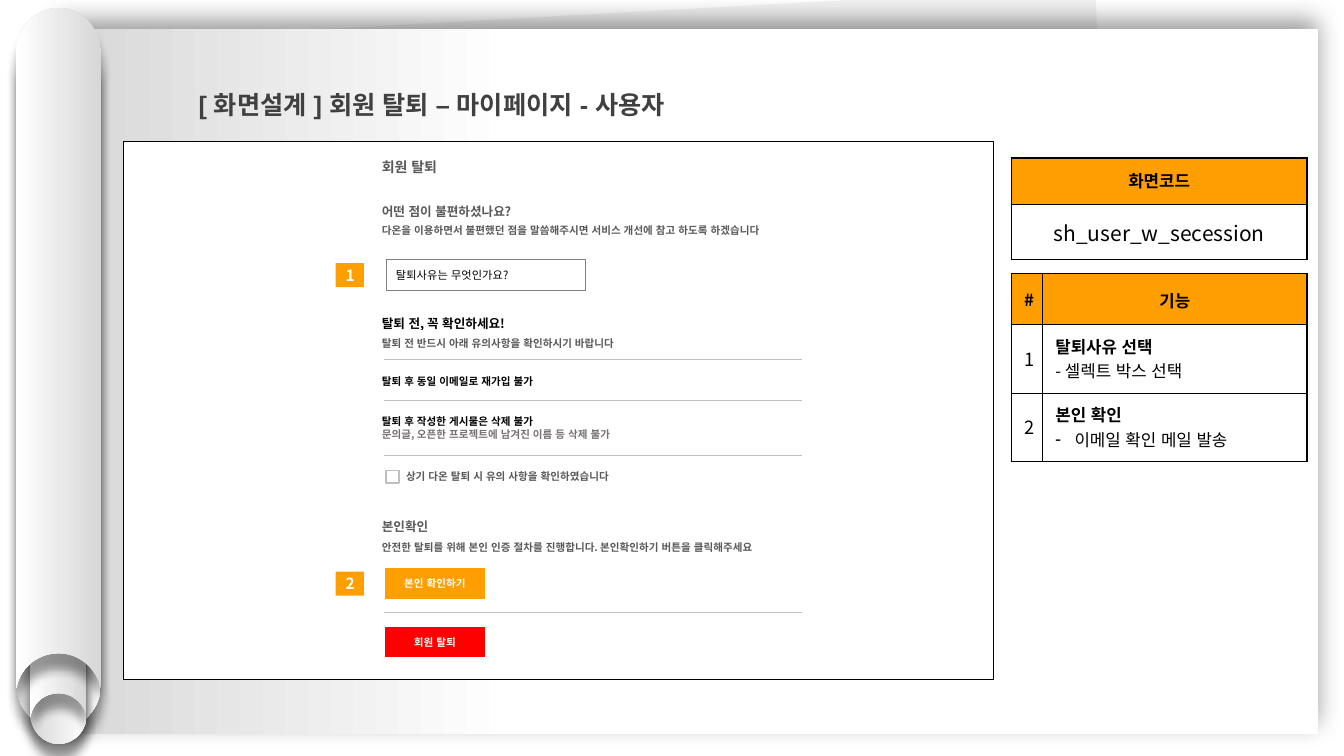
from dataclasses import dataclass
from typing import Optional

import lxml.etree
import pptx
import pptx.dml.color
import pptx.enum.lang
import pptx.enum.shapes
import pptx.enum.text
import pptx.oxml.ns
import pptx.shapes.autoshape
import pptx.shapes.shapetree
import pptx.slide
import pptx.text.text
import pptx.util

Inches = pptx.util.Inches
Pt = pptx.util.Pt
RGBColor = pptx.dml.color.RGBColor
Align = pptx.enum.text.PP_ALIGN
Anchor = pptx.enum.text.MSO_ANCHOR
RECT = pptx.enum.shapes.MSO_SHAPE.RECTANGLE
qn = pptx.oxml.ns.qn

KOREAN = "Noto Sans CJK KR"
BLACK = RGBColor(0x00, 0x00, 0x00)
WHITE = RGBColor(0xFF, 0xFF, 0xFF)
ORANGE = RGBColor(0xFF, 0x9E, 0x00)
RED = RGBColor(0xFF, 0x00, 0x00)
DARK = RGBColor(0x40, 0x40, 0x40)
TEXT = RGBColor(0x59, 0x59, 0x59)
MUTED = RGBColor(0x76, 0x71, 0x71)
BORDER = RGBColor(0x80, 0x80, 0x80)
RULE = RGBColor(0xBF, 0xBF, 0xBF)
PAPER = RGBColor(0xF2, 0xF2, 0xF2)
SHADE = RGBColor(0xD7, 0xD7, 0xD7)


@dataclass
class Line:
    text: str
    size: float
    color: RGBColor = TEXT
    bold: bool = True
    dash: bool = False


@dataclass
class Box:
    left: float
    top: float
    width: float
    height: float
    lines: tuple[Line, ...] = ()
    fill: RGBColor = WHITE
    border: Optional[RGBColor] = WHITE
    border_pt: float = 1
    align: Align = Align.LEFT


@dataclass
class Grid:
    top: float
    cols: tuple[float, ...]
    heights: tuple[float, ...]
    cells: tuple[tuple[tuple[Line, ...], ...], ...]
    edges: tuple[float, ...]
    spacing: Optional[float] = None


@dataclass
class Roll:
    left: float
    top: float
    scale: float
    rotation: int


def head(text: str) -> tuple[Line, ...]:
    return (Line(text, 12, BLACK),)


def tag(top: float, text: str) -> Box:
    return Box(3.33, top, 0.28, 0.24, (Line(text, 11, WHITE),), ORANGE, None, align=Align.CENTER)


def button(top: float, text: str, fill: RGBColor) -> Box:
    return Box(3.81, top, 1.01, 0.32, (Line(text, 7.5, WHITE),), fill, align=Align.CENTER)


def note(top: float, height: float, *lines: Line, left: float = 3.69, width: float = 4.43) -> Box:
    return Box(left, top, width, height, lines)


BOXES = (
    Box(1.23, 1.4, 8.63, 5.34, border=BLACK, border_pt=0.75),
    Box(3.69, 1.58, 1.01, 0.15, (Line("회원 탈퇴", 10),)),
    Box(3.69, 2.02, 2, 0.15, (Line("어떤 점이 불편하셨나요?", 9),)),
    note(2.16, 0.26, Line("다온을 이용하면서 불편했던 점을 말씀해주시면 서비스 개선에 참고 하도록 하겠습니다", 7.5)),
    Box(3.83, 2.57, 1.98, 0.31, (Line("탈퇴사유는 무엇인가요?", 8, BLACK, False),), border=BORDER, border_pt=0.5),
    Box(3.69, 3.13, 2, 0.15, (Line("탈퇴 전, 꼭 확인하세요!", 9, BLACK),)),
    note(3.28, 0.26, Line("탈퇴 전 반드시 아래 유의사항을 확인하시기 바랍니다", 7.5)),
    note(3.65, 0.26, Line("탈퇴 후 동일 이메일로 재가입 불가", 7.5, BLACK)),
    note(4.06, 0.37, Line("탈퇴 후 작성한 게시물은 삭제 불가", 7.5, BLACK),
         Line("문의글, 오픈한 프로젝트에 남겨진 이름 등 삭제 불가", 7.5, MUTED)),
    note(4.6, 0.26, Line("상기 다온 탈퇴 시 유의 사항을 확인하였습니다", 7.5), left=3.93),
    Box(3.83, 4.67, 0.13, 0.12, border=RULE),
    Box(3.69, 5.15, 2, 0.15, (Line("본인확인", 9),)),
    note(5.32, 0.21, Line("안전한 탈퇴를 위해 본인 인증 절차를 진행합니다. 본인확인하기 버튼을 클릭해주세요", 7.5),
         width=4.09),
    button(5.63, "본인 확인하기", ORANGE),
    button(6.21, "회원 탈퇴", RED),
    tag(2.61, "1"),
    tag(5.67, "2"),
)
RULES = (3.57, 3.97, 4.52, 6.08)
SMALL = 2 / 3
ROLLS = (Roll(0.16, 0.48, 1, 180), Roll(0.3, 2.88, SMALL, 180), Roll(0.3, 2.61, SMALL, 0), Roll(0.16, 0.08, 1, 0))
ROLL_OUTLINE = (
    ("M", ((0.42, 0),)), ("C", ((0.65, 0), (0.84, 0.2), (0.84, 0.44))), ("L", ((0.84, 6.75),)),
    ("L", ((0.82, 6.68),)), ("C", ((0.75, 6.51), (0.6, 6.4), (0.42, 6.4))),
    ("C", ((0.24, 6.4), (0.08, 6.51), (0.02, 6.68))), ("L", ((0, 6.75),)), ("L", ((0, 0.44),)),
    ("C", ((0, 0.2), (0.18, 0), (0.42, 0))),
)
GRIDS = (
    Grid(1.57, (2.94,), (0.46, 0.54),
         ((head("화면코드"),), ((Line("sh_user_w_secession", 15, BLACK, False),),)), (1.5, 0.75, 0.75)),
    Grid(2.71, (0.31, 2.63), (0.51, 0.68, 0.68),
         ((head("#"), head("기능")),
          ((Line("1", 13, BLACK, False),),
           (Line("탈퇴사유 선택", 12, BLACK), Line("- 셀렉트 박스 선택", 12, BLACK, False))),
          ((Line("2", 13, BLACK, False),),
           (Line("본인 확인", 12, BLACK), Line("이메일 확인 메일 발송", 12, BLACK, False, True)))),
         (0.75, 1.5, 0.75, 0.75), 18),
)


def write(tf: pptx.text.text.TextFrame, lines: tuple[Line, ...], align: Align,
          spacing: Optional[float] = None, font: str = KOREAN) -> None:
    tf.word_wrap = True
    for i, line in enumerate(lines):
        p = tf.add_paragraph() if i else tf.paragraphs[0]
        p.alignment = align
        if spacing:
            p.line_spacing = spacing
        if line.dash:
            pPr = p._p.get_or_add_pPr()
            pPr.set("marL", str(Inches(0.19)))
            pPr.set("indent", str(Inches(-0.19)))
            lxml.etree.SubElement(pPr, qn("a:buFontTx"))
            lxml.etree.SubElement(pPr, qn("a:buChar")).set("char", "-")
        r = p.add_run()
        r.text = line.text
        r.font.size = Pt(line.size)
        r.font.bold = line.bold
        r.font.color.rgb = line.color
        r.font.name = font
        r.font.language_id = pptx.enum.lang.MSO_LANGUAGE_ID.KOREAN
        lxml.etree.SubElement(r._r.get_or_add_rPr(), qn("a:ea")).set("typeface", "Arial")


def add_box(s: pptx.slide.Slide, box: Box) -> pptx.shapes.autoshape.Shape:
    sp = s.shapes.add_shape(RECT, *map(Inches, (box.left, box.top, box.width, box.height)))
    sp.shadow.inherit = False
    sp.fill.solid()
    sp.fill.fore_color.rgb = box.fill
    if box.border is None:
        sp.line.fill.background()
    else:
        sp.line.color.rgb = box.border
        sp.line.width = Pt(box.border_pt)
    sp.text_frame.vertical_anchor = Anchor.MIDDLE
    write(sp.text_frame, box.lines, box.align)
    return sp


def shade(sp: pptx.shapes.autoshape.Shape, stops: tuple[tuple[float, RGBColor], ...],
          blur: float, distance: float, angle: int) -> None:
    sp.line.fill.background()
    sp.fill.gradient()
    sp.fill.gradient_angle = 180
    for stop, (position, color) in zip(sp.fill.gradient_stops, stops):
        stop.position = position
        stop.color.rgb = color
    sp.shadow.inherit = False
    effects = sp.element.spPr.find(qn("a:effectLst"))
    shadow = lxml.etree.SubElement(effects, qn("a:outerShdw"), blurRad=str(Pt(blur)), dist=str(Pt(distance)),
                                   dir=str(angle * 60000), algn="ctr", rotWithShape="0")
    color = lxml.etree.SubElement(shadow, qn("a:srgbClr"), val=str(BLACK))
    lxml.etree.SubElement(color, qn("a:alpha"), val="40000")


def add_roll(shapes: pptx.shapes.shapetree.GroupShapes, roll: Roll) -> None:
    points = [(Inches(roll.left + x * roll.scale), Inches(roll.top + y * roll.scale))
              for _, step in ROLL_OUTLINE for x, y in step]
    builder = shapes.build_freeform(*points[0])
    builder.add_line_segments(points[1:], close=True)
    sp = builder.convert_to_shape()
    segments = iter(list(sp.element.iter(qn("a:lnTo"))))
    for kind, _ in ROLL_OUTLINE[1:]:
        first = next(segments)
        if kind == "C":
            first.tag = qn("a:cubicBezTo")
            for extra in (next(segments), next(segments)):
                first.append(extra[0])
                extra.getparent().remove(extra)
    sp.rotation = roll.rotation
    shade(sp, ((0, SHADE), (1, WHITE)), 7, 11, 90)


def add_grid(s: pptx.slide.Slide, grid: Grid) -> None:
    rows, cols = len(grid.heights), len(grid.cols)
    table = s.shapes.add_table(rows, cols, Inches(10.03), Inches(grid.top), Inches(sum(grid.cols)),
                               Inches(sum(grid.heights))).table
    table.first_row = table.horz_banding = False
    for column, width in zip(table.columns, grid.cols):
        column.width = Inches(width)
    for i, height in enumerate(grid.heights):
        table.rows[i].height = Inches(height)
        for j, lines in enumerate(grid.cells[i]):
            cell = table.cell(i, j)
            cell.margin_left = cell.margin_right = Inches(0.13)
            cell.margin_top = cell.margin_bottom = Inches(0.07)
            listing = len(lines) > 1
            cell.vertical_anchor = Anchor.TOP if listing else Anchor.MIDDLE
            write(cell.text_frame, lines, Align.LEFT if listing else Align.CENTER,
                  Pt(grid.spacing) if grid.spacing else None)
            right = 1.5 if j == cols - 1 else 0.75
            for side, width in zip("LRTB", (0.75, right, grid.edges[i], grid.edges[i + 1])):
                ln = lxml.etree.SubElement(cell._tc.get_or_add_tcPr(), qn(f"a:ln{side}"), w=str(Pt(width)))
                solid = lxml.etree.SubElement(ln, qn("a:solidFill"))
                lxml.etree.SubElement(solid, qn("a:srgbClr"), val=str(BLACK))
            if i:
                cell.fill.background()
            else:
                cell.fill.solid()
                cell.fill.fore_color.rgb = ORANGE


def add_rule(s: pptx.slide.Slide, y: float) -> None:
    c = s.shapes.add_connector(pptx.enum.shapes.MSO_CONNECTOR.STRAIGHT, *map(Inches, (3.81, y, 7.96, y)))
    c.line.color.rgb = RULE
    c.line.width = Pt(0.5)
    lxml.etree.SubElement(c.element.spPr, qn("a:effectLst"))


def add_title(s: pptx.slide.Slide) -> None:
    title = s.shapes.title
    title.left, title.top, title.width, title.height = map(Inches, (1.9, 0.7, 7.21, 0.53))
    tf = title.text_frame
    tf.margin_left = tf.margin_right = Inches(0.07)
    tf.margin_top = tf.margin_bottom = Inches(0.04)
    tf.vertical_anchor = Anchor.TOP
    tf.auto_size = pptx.enum.text.MSO_AUTO_SIZE.SHAPE_TO_FIT_TEXT
    write(tf, (Line("[ 화면설계 ] 회원 탈퇴 – 마이페이지 - 사용자", 18, DARK),), Align.LEFT, 1.5, "Arial")
    s.shapes.element.append(title.element)


def main() -> None:
    prs = pptx.Presentation()
    prs.slide_width, prs.slide_height = Inches(40 / 3), Inches(7.5)
    s = prs.slides.add_slide(prs.slide_layouts[5])
    add_box(s, Box(0.91, 0.14, 10.15, 6.8, fill=PAPER, border=None)).rotation = 356.8
    page = add_box(s, Box(0.58, 0.29, 12.5, 6.99, border=None))
    shade(page, ((0.64, WHITE), (1, SHADE)), 18, 6, 270)
    scroll = s.shapes.add_group_shape()
    for roll in ROLLS:
        add_roll(scroll.shapes, roll)
    for grid in GRIDS:
        add_grid(s, grid)
    for box in BOXES:
        add_box(s, box)
    for y in RULES:
        add_rule(s, y)
    add_title(s)
    prs.save("out.pptx")


if __name__ == "__main__":
    main()
